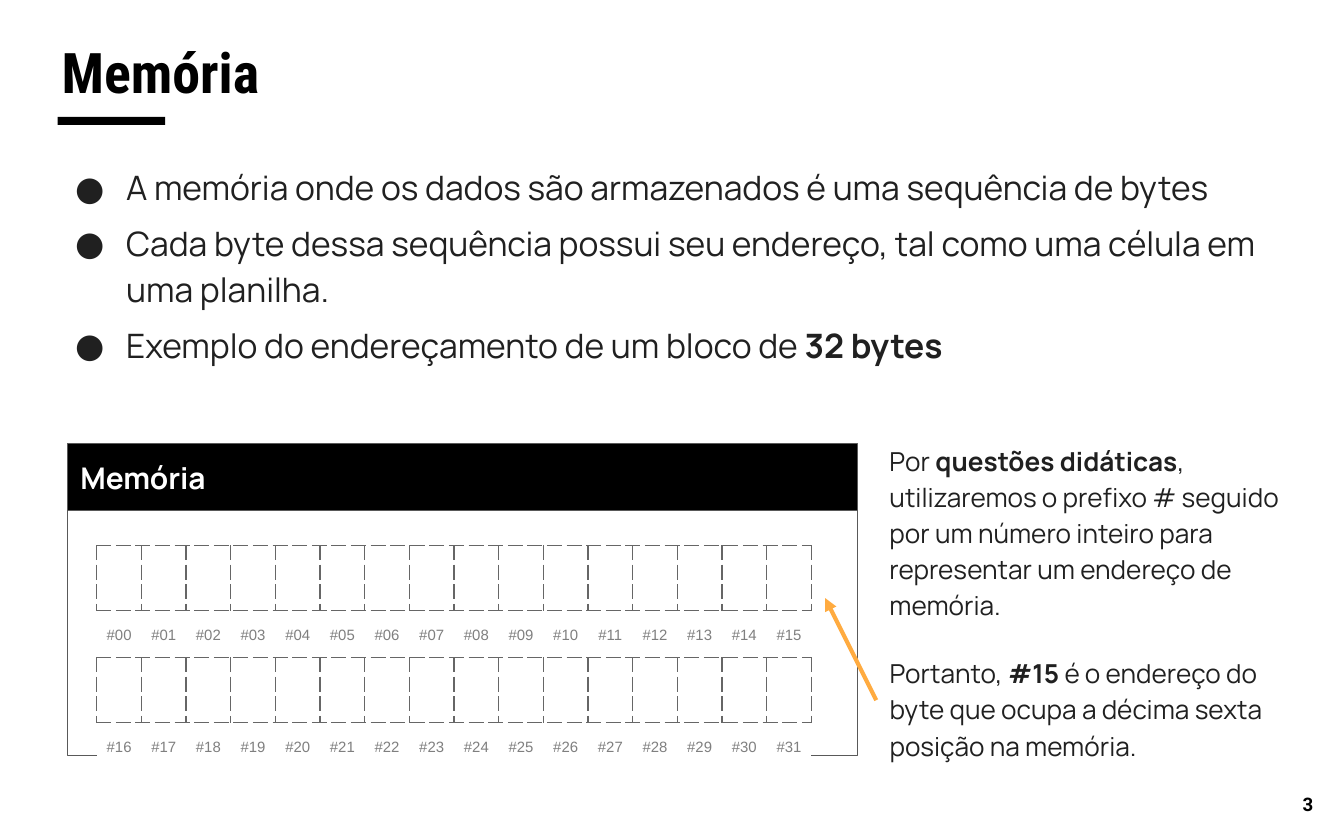
from lxml import etree
from pptx import Presentation
from pptx.dml.color import RGBColor
from pptx.enum import shapes, text
from pptx.oxml import ns
from pptx.util import Inches, Pt

BLACK = RGBColor(0, 0, 0)
WHITE = RGBColor(255, 255, 255)
INK = RGBColor(0x20, 0x20, 0x20)
EDGE = RGBColor(0x59, 0x59, 0x59)
DASH = RGBColor(0x66, 0x66, 0x66)
GRAY = RGBColor(0x7F, 0x7F, 0x7F)
AMBER = RGBColor(0xFF, 0xAB, 0x40)
COLS = 16
POINTS = [
    "A memória onde os dados são armazenados é uma sequência de bytes",
    "Cada byte dessa sequência possui seu endereço, tal como uma célula em uma planilha.",
    "Exemplo do endereçamento de um bloco de **32 bytes**",
]
PREFIX = ("Por **questões didáticas**, utilizaremos o prefixo # seguido por um "
          "número inteiro para representar um endereço de memória.")
RESULT = ("Portanto, **#15** é o endereço do byte que ocupa a décima sexta "
          "posição na memória.")


def node(parent, tag, **attrs):
    """Add a drawing element under a parent."""
    return etree.SubElement(parent, ns.qn("a:" + tag), attrs)


def write(para, words, size=18, font="Manrope", color=INK, bold=False,
          align=None, line=None, before=0, after=0):
    """Fill a paragraph; double asterisks switch bold."""
    para.alignment = align
    para.line_spacing = line
    para.space_before, para.space_after = Pt(before), Pt(after)
    for i, part in enumerate(words.split("**")):
        if part:
            run = para.add_run()
            run.text = part
            run.font.size, run.font.name = Pt(size), font
            run.font.bold = bold or i % 2 == 1
            run.font.color.rgb = color


def inset(frame, anchor):
    """Set wrapping, margins and anchor of a text frame."""
    frame.word_wrap = True
    frame.vertical_anchor = anchor
    frame.margin_left = frame.margin_right = Inches(0.1)
    frame.margin_top = frame.margin_bottom = Inches(0.1)
    return frame


def box(slide, area, words, anchor=text.MSO_ANCHOR.TOP, **style):
    """Add a text box with one paragraph."""
    shape = slide.shapes.add_textbox(*map(Inches, area))
    frame = inset(shape.text_frame, anchor)
    write(frame.paragraphs[0], words, **style)


def bullets(slide, area, items):
    """Add a bulleted list."""
    shape = slide.shapes.add_textbox(*map(Inches, area))
    frame = inset(shape.text_frame, text.MSO_ANCHOR.TOP)
    for i, item in enumerate(items):
        para = frame.add_paragraph() if i else frame.paragraphs[0]
        write(para, item, line=1.15, before=5 if i else 0)
        props = para._p.get_or_add_pPr()
        props.set("marL", str(Inches(0.5)))
        props.set("indent", str(Inches(-0.38)))
        node(node(props, "buClr"), "srgbClr", val=str(INK))
        node(props, "buFont", typeface="Manrope")
        node(props, "buChar", char="●")


def rect(slide, area, fill, edge=None):
    """Add a filled rectangle."""
    shape = slide.shapes.add_shape(shapes.MSO_SHAPE.RECTANGLE, *map(Inches, area))
    shape.shadow.inherit = False
    shape.fill.solid()
    shape.fill.fore_color.rgb = fill
    if edge:
        shape.line.color.rgb, shape.line.width = edge, Pt(0.75)
    else:
        shape.line.fill.background()
    return shape


def border(cell, sides):
    """Dash the given sides of a cell and clear the others."""
    props = cell._tc.get_or_add_tcPr()
    for i, side in enumerate("LRTB"):
        line = etree.Element(ns.qn("a:ln" + side), w=str(Pt(0.75)))
        if side in sides:
            node(node(line, "solidFill"), "srgbClr", val=str(DASH))
            node(line, "prstDash", val="dash")
        else:
            node(line, "noFill")
        props.insert(i, line)


def label(cell, num):
    """Write a byte address in a cell."""
    cell.fill.solid()
    cell.fill.fore_color.rgb = WHITE
    cell.vertical_anchor = text.MSO_ANCHOR.MIDDLE
    cell.margin_left = cell.margin_right = Inches(0.03)
    cell.margin_top = cell.margin_bottom = Inches(0.1)
    write(cell.text_frame.paragraphs[0], f"#{num:02}", size=8, font="Arial",
          color=GRAY, align=text.PP_ALIGN.CENTER, line=1.15)


def bytemap(slide):
    """Add the table of bytes and their addresses."""
    heights = [0.48, 0.34] * 2
    area = 0.72, 4.06, 5.32, sum(heights)
    table = slide.shapes.add_table(4, COLS, *map(Inches, area)).table
    table.first_row = table.horz_banding = False
    for col in table.columns:
        col.width = Inches(5.32 / COLS)
    for r, height in enumerate(heights):
        table.rows[r].height = Inches(height)
        for c in range(COLS):
            cell = table.cell(r, c)
            if r % 2:
                label(cell, r // 2 * COLS + c)
                border(cell, "TB" if r == 1 else "T")
            else:
                cell.fill.background()
                border(cell, "LRTB")


def arrow(slide, start, end):
    """Add an arrow between two points."""
    line = slide.shapes.add_connector(
        shapes.MSO_CONNECTOR.STRAIGHT, *map(Inches, start + end))
    line.line.color.rgb, line.line.width = AMBER, Pt(2.25)
    node(line.line._get_or_add_ln(), "tailEnd", type="triangle")
    node(line._element.spPr, "effectLst")


def main():
    """Build the memory slide."""
    deck = Presentation()
    deck.slide_width, deck.slide_height = Inches(10), Inches(6.25)
    slide = deck.slides.add_slide(deck.slide_layouts[6])
    rect(slide, (0.43, 0.87, 0.8, 0.06), BLACK)
    bullets(slide, (0.34, 1.1, 9.32, 4.82), POINTS)
    rect(slide, (0.5, 3.8, 5.88, 1.82), WHITE, EDGE)
    head = rect(slide, (0.5, 3.3, 5.88, 0.5), BLACK, EDGE)
    frame = inset(head.text_frame, text.MSO_ANCHOR.MIDDLE)
    write(frame.paragraphs[0], "Memória", size=16, color=WHITE, bold=True,
          align=text.PP_ALIGN.LEFT)
    box(slide, (0.36, 0.18, 9.32, 0.7), "Memória", size=30,
        font="Roboto Condensed", color=BLACK, bold=True)
    box(slide, (9.27, 5.74, 0.6, 0.48), "3", anchor=text.MSO_ANCHOR.MIDDLE,
        size=10, font="Roboto", color=BLACK, bold=True, align=text.PP_ALIGN.RIGHT)
    bytemap(slide)
    box(slide, (6.52, 3.18, 3.26, 1.61), PREFIX, size=14, line=1.15, after=5)
    box(slide, (6.52, 4.76, 3.35, 0.91), RESULT, size=14, line=1.15, after=5)
    arrow(slide, (6.52, 5.21), (6.14, 4.45))
    deck.save("out.pptx")


main()
